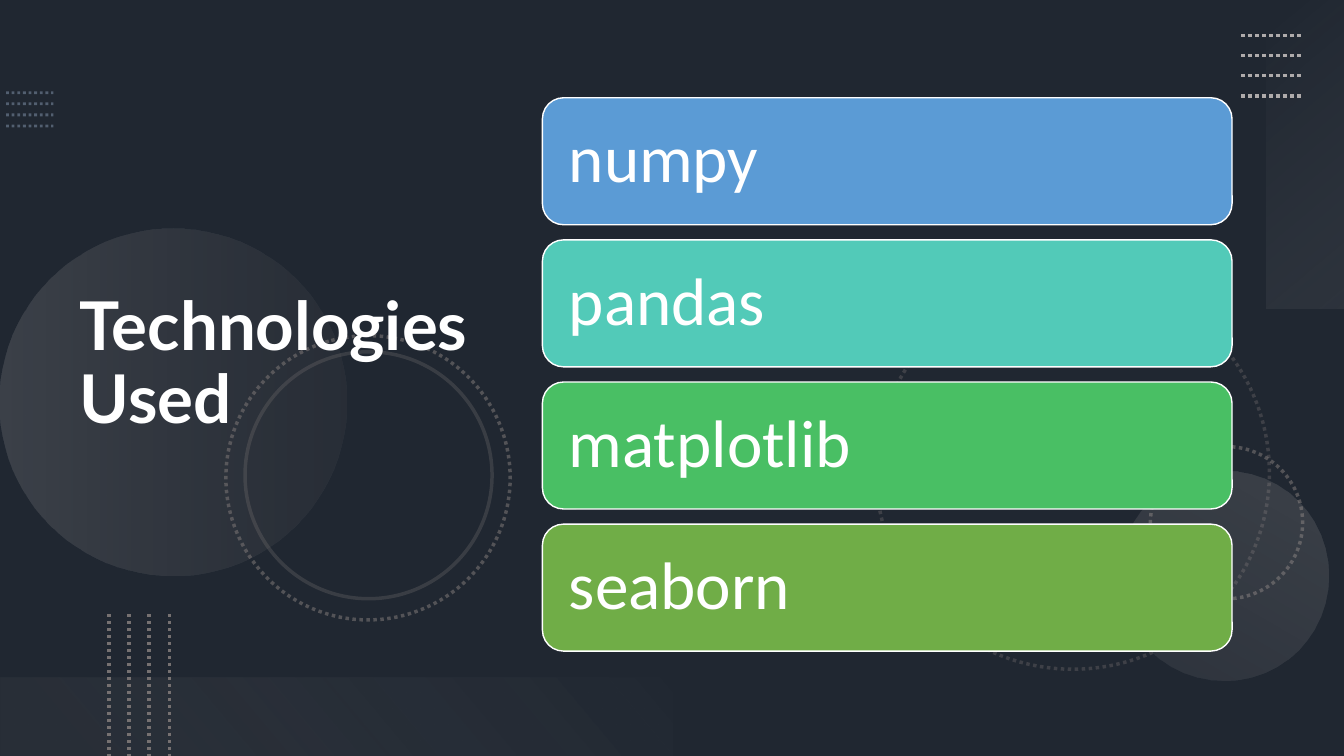
from lxml.etree import SubElement
from pptx import Presentation
from pptx.dml.color import RGBColor
from pptx.enum.dml import MSO_LINE
from pptx.enum.shapes import MSO_CONNECTOR, MSO_SHAPE
from pptx.enum.text import MSO_ANCHOR, MSO_AUTO_SIZE, PP_ALIGN
from pptx.oxml import parse_xml
from pptx.oxml.ns import nsdecls, qn
from pptx.util import Inches, Pt

LIBRARIES = [("numpy", "5B9BD5"), ("pandas", "52CAB8"),
             ("matplotlib", "49BF64"), ("seaborn", "70AD47")]


def paint(color_format, color, opacity=100):
    """Set a colour from a hex string, with an opacity in percent."""
    color_format.rgb = RGBColor.from_string(color)
    return opacity


def fade(properties, opacity):
    """Give the first solid colour under the properties an opacity."""
    solid = next(properties.iter(qn("a:srgbClr")))
    SubElement(solid, qn("a:alpha")).set("val", str(opacity * 1000))


def add_figure(slide, kind, box, rotation=0):
    """Add a preset shape without shadow, fill or line."""
    figure = slide.shapes.add_shape(kind, *map(Inches, box))
    figure.shadow.inherit = False
    figure.rotation = rotation
    figure.fill.background()
    figure.line.fill.background()
    return figure


def add_veil(slide, box):
    """Darken the background with a translucent black panel."""
    veil = add_figure(slide, MSO_SHAPE.RECTANGLE, box)
    veil.fill.solid()
    fade_to = paint(veil.fill.fore_color, "000000", 53)
    fade(veil.element.spPr, fade_to)


def add_glow(slide, kind, box, rotation, stops, angle):
    """Add a shape with a translucent gradient of (position, colour, opacity)."""
    glow = add_figure(slide, kind, box, rotation)
    marks = "".join(
        f'<a:gs pos="{position * 1000}"><a:srgbClr val="{color}">'
        f'<a:alpha val="{opacity * 1000}"/></a:srgbClr></a:gs>'
        for position, color, opacity in stops)
    gradient = parse_xml(
        f'<a:gradFill {nsdecls("a")} rotWithShape="1"><a:gsLst>{marks}</a:gsLst>'
        f'<a:lin ang="{angle * 60000}" scaled="0"/></a:gradFill>')
    properties = glow.element.spPr
    properties.replace(properties.find(qn("a:noFill")), gradient)


def add_ring(slide, left, top, size, rotation, opacity, dotted=True):
    """Add an outlined circle."""
    ring = add_figure(slide, MSO_SHAPE.OVAL, (left, top, size, size), rotation)
    ring.line.fill.solid()
    fade_to = paint(ring.line.color, "767171", opacity)
    fade(ring.element.spPr, fade_to)
    ring.line.width = Pt(2.5)
    if dotted:
        ring.line.dash_style = MSO_LINE.ROUND_DOT


def add_dotted_lines(slide, box, color, width=2.5, opacity=100, vertical=False):
    """Spread four parallel dotted lines evenly over the box."""
    left, top, across, down = box
    for index in range(4):
        if vertical:
            x = left + across * index / 3
            ends = (x, top, x, top + down)
        else:
            y = top + down * index / 3
            ends = (left, y, left + across, y)
        dots = slide.shapes.add_connector(MSO_CONNECTOR.STRAIGHT, *map(Inches, ends))
        fade_to = paint(dots.line.color, color, opacity)
        fade(dots.element.spPr, fade_to)
        dots.line.width = Pt(width)
        dots.line.dash_style = MSO_LINE.ROUND_DOT
        SubElement(dots.element.spPr, qn("a:effectLst"))


def add_decoration(slide):
    """Add the circles, corner panels and dotted lines behind the content."""
    add_dotted_lines(slide, (0.06, 0.92, 0.47, 0.33), "8497B0", 2, 50)
    add_ring(slide, 8.69, 2.74, 3.9, 75, 35)
    add_ring(slide, 11.41, 4.43, 1.51, 270, 60)
    add_glow(slide, MSO_SHAPE.OVAL, (0, 2.27, 3.44, 3.44), 270,
             [(0, "AFABAB", 20), (100, "767171", 10)], 90)
    add_glow(slide, MSO_SHAPE.OVAL, (11.1, 4.67, 2.08, 2.08), 210,
             [(0, "AFABAB", 10), (100, "AFABAB", 20)], 90)
    add_ring(slide, 2.24, 3.33, 2.82, 75, 60)
    add_ring(slide, 2.43, 3.49, 2.45, 75, 30, dotted=False)
    add_glow(slide, MSO_SHAPE.RECTANGLE, (11.42, 1.14, 3.06, 0.78), 270,
             [(0, "F5F5F5", 0), (100, "AFABAB", 10)], 140)
    add_dotted_lines(slide, (12.31, 0.35, 0.6, 0.6), "AFABAB")
    add_glow(slide, MSO_SHAPE.RECTANGLE, (0, 6.72, 6.67, 0.78), 180,
             [(10, "767171", 10), (100, "F1F0F0", 0)], 140)
    add_dotted_lines(slide, (1.08, 6.09, 0.6, 1.41), "767171", vertical=True)


def write(frame, text, font, bold=False):
    """Write one left-aligned, vertically centred white paragraph."""
    frame.word_wrap = True
    frame.auto_size = MSO_AUTO_SIZE.NONE
    frame.vertical_anchor = MSO_ANCHOR.MIDDLE
    paragraph = frame.paragraphs[0]
    paragraph.alignment = PP_ALIGN.LEFT
    paragraph.line_spacing = 0.9
    run = paragraph.add_run()
    run.text = text
    run.font.name = font
    run.font.size = Pt(48)
    run.font.bold = bold
    paint(run.font.color, "FFFFFF")


def add_title(slide, box):
    """Place the slide title in the box."""
    title = slide.shapes.title
    title.left, title.top, title.width, title.height = map(Inches, box)
    write(title.text_frame, "Technologies Used", "Lato", bold=True)
    tree = slide.shapes.element
    tree.remove(title.element)
    tree.append(title.element)


def add_library_cards(slide, box):
    """Stack one rounded card per library in the box."""
    left, top, width, height = box
    gap = 0.15
    card_height = (height + gap) / len(LIBRARIES) - gap
    for index, (library, color) in enumerate(LIBRARIES):
        y = top + index * (card_height + gap)
        card = add_figure(slide, MSO_SHAPE.ROUNDED_RECTANGLE,
                          (left, y, width, card_height))
        card.fill.solid()
        paint(card.fill.fore_color, color)
        paint(card.line.color, "FFFFFF")
        card.line.width = Pt(1)
        frame = card.text_frame
        frame.margin_left = frame.margin_right = Inches(0.2)
        write(frame, library, "Calibri")


def main():
    """Build and save the slide."""
    deck = Presentation()
    deck.slide_width, deck.slide_height = Inches(13.33), Inches(7.5)
    slide = deck.slides.add_slide(deck.slide_layouts[5])
    slide.background.fill.solid()
    paint(slide.background.fill.fore_color, "44546A")
    add_veil(slide, (0, 0, 13.33, 7.5))
    add_decoration(slide)
    add_title(slide, (0.69, 0.54, 4.59, 6.17))
    add_library_cards(slide, (5.38, 0.97, 6.84, 5.49))
    deck.save("out.pptx")


if __name__ == "__main__":
    main()
